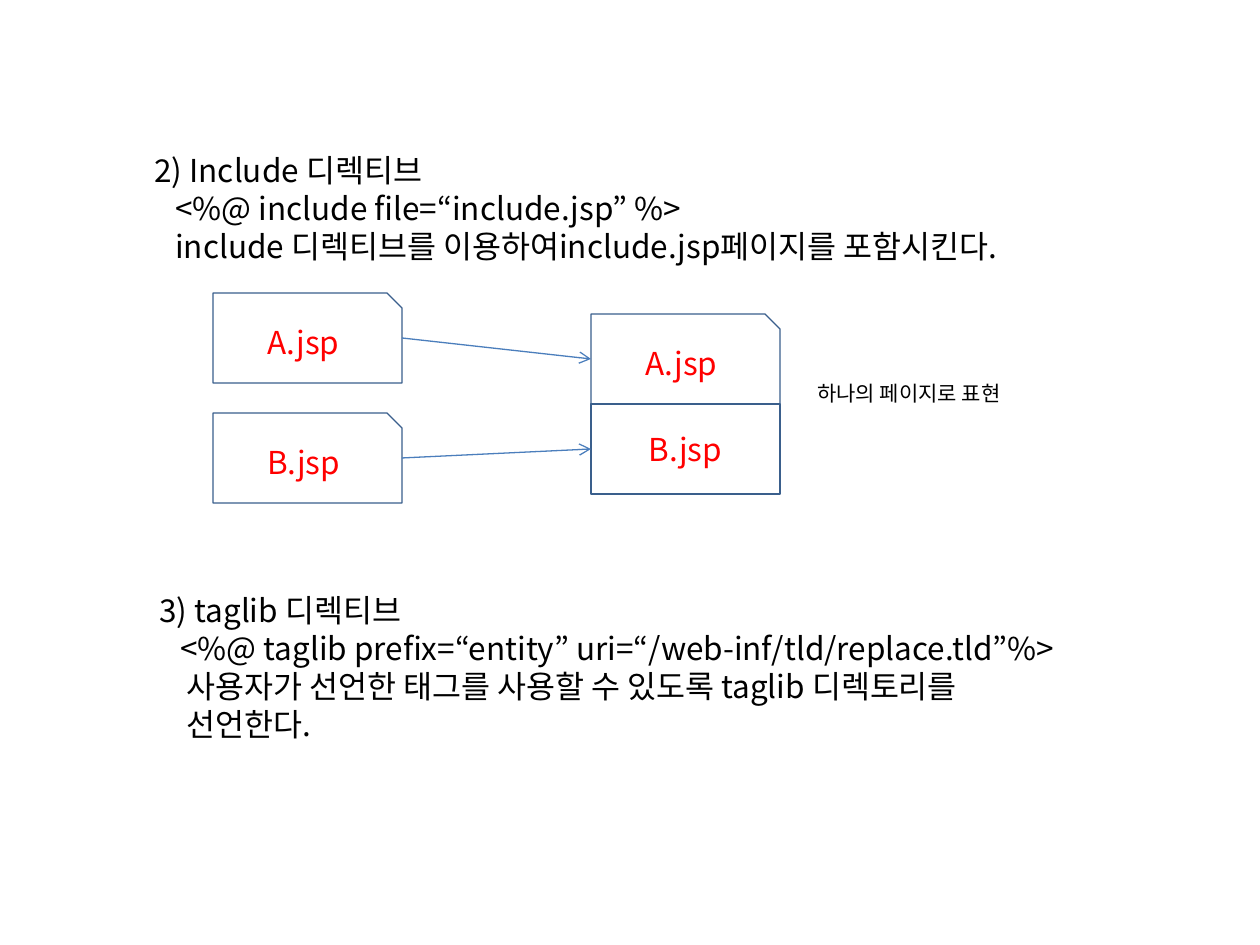
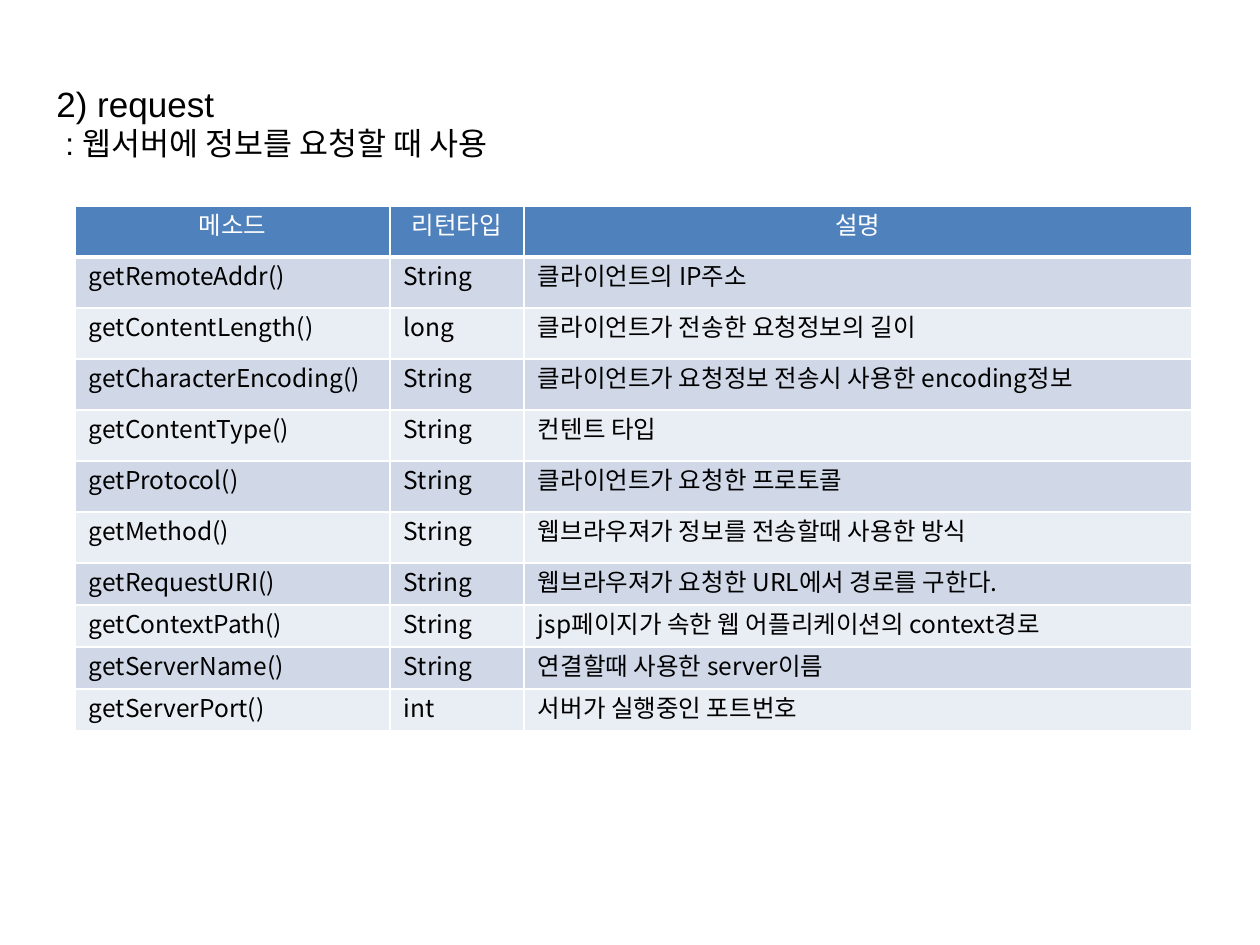
from dataclasses import dataclass
from typing import Any

import pptx
import pptx.dml.color
import pptx.enum.shapes
import pptx.enum.text
import pptx.oxml.ns
import pptx.util
from lxml import etree

# Shared style
EMU_PER_PX = 914400 / 126
KOREAN_FONT = "Noto Sans CJK KR"
LINE_HEIGHT = 1.2
BLACK, WHITE, RED = "000000", "FFFFFF", "FF0000"
OUTLINE, ARROW = "3A5F8C", "4B7EBC"
HEADER_FILL, BAND_FILLS = "4F81BD", ("D0D8E8", "E9EDF4")
CENTER = pptx.enum.text.PP_ALIGN.CENTER
MIDDLE = pptx.enum.text.MSO_ANCHOR.MIDDLE
RECTANGLE = pptx.enum.shapes.MSO_SHAPE.RECTANGLE
SNIPPED = pptx.enum.shapes.MSO_SHAPE.SNIP_1_RECTANGLE
LEFT_SIDE = 1


@dataclass(frozen=True)
class Line:
    text: str
    indent: int = 0
    size: int = 18
    font: str = KOREAN_FONT
    color: str = BLACK
    align: Any = None


@dataclass(frozen=True)
class TextBlock:
    left: int
    top: int
    width: int
    height: int
    lines: tuple[Line, ...]


@dataclass(frozen=True)
class Page:
    name: str
    left: int
    top: int
    kind: Any = SNIPPED


# Slide 1: directives and the pages that are merged
DIRECTIVE_BLOCKS = (
    TextBlock(142, 145, 920, 127, (
        Line("2) Include 디렉티브"),
        Line("<%@ include file=“include.jsp” %>", 21),
        Line("include 디렉티브를 이용하여include.jsp페이지를 포함시킨다.", 21),
    )),
    TextBlock(147, 585, 930, 165, (
        Line("3) taglib 디렉티브"),
        Line("<%@ taglib prefix=“entity” uri=“/web-inf/tld/replace.tld”%>", 21),
        Line("사용자가 선언한 태그를 사용할 수 있도록 taglib 디렉토리를", 27),
        Line("선언한다.", 27),
    )),
    TextBlock(805, 374, 232, 38, (Line("하나의 페이지로 표현", size=12),)),
)
PAGE_WIDTH, PAGE_HEIGHT = 189, 90
MERGED_TOP = 314
SOURCE_PAGES = (Page("A.jsp", 213, 293), Page("B.jsp", 213, 413))
MERGED_PAGES = (
    Page("A.jsp", 591, MERGED_TOP),
    Page("B.jsp", 591, MERGED_TOP + PAGE_HEIGHT, RECTANGLE),
)

# Slide 2: request methods
REQUEST_BLOCK = TextBlock(44, 76, 514, 93, (
    Line("2) request", size=20, font="Arial"),
    Line(": 웹서버에 정보를 요청할 때 사용", 9, font="Arial"),
))
TABLE_LEFT, TABLE_TOP = 75, 206
COLUMN_WIDTHS = (315, 134, 668)
ROW_HEIGHTS = (51,) * 7 + (42,) * 4
METHOD_ROWS = (
    ("메소드", "리턴타입", "설명"),
    ("getRemoteAddr()", "String", "클라이언트의 IP주소"),
    ("getContentLength()", "long", "클라이언트가 전송한 요청정보의 길이"),
    ("getCharacterEncoding()", "String",
     "클라이언트가 요청정보 전송시 사용한 encoding정보"),
    ("getContentType()", "String", "컨텐트 타입"),
    ("getProtocol()", "String", "클라이언트가 요청한 프로토콜"),
    ("getMethod()", "String", "웹브라우져가 정보를 전송할때 사용한 방식"),
    ("getRequestURI()", "String", "웹브라우져가 요청한 URL에서 경로를 구한다."),
    ("getContextPath()", "String", "jsp페이지가 속한 웹 어플리케이션의 context경로"),
    ("getServerName()", "String", "연결할때 사용한 server이름"),
    ("getServerPort()", "int", "서버가 실행중인 포트번호"),
)


# Helpers
def px(length: float) -> int:
    return round(length * EMU_PER_PX)


def rgb(value: str) -> Any:
    return pptx.dml.color.RGBColor.from_string(value)


def set_values(target: Any, values: dict[str, Any]) -> None:
    for name, value in values.items():
        setattr(target, name, value)


def add_element(parent: Any, tag: str, **attributes: str) -> Any:
    return etree.SubElement(parent, pptx.oxml.ns.qn(tag), attributes)


def write_lines(frame: Any, lines: tuple[Line, ...]) -> None:
    for index, line in enumerate(lines):
        paragraph = frame.paragraphs[0] if index == 0 else frame.add_paragraph()
        set_values(paragraph, {
            "alignment": line.align,
            "line_spacing": pptx.util.Pt(round(line.size * LINE_HEIGHT, 1)),
        })
        if line.indent:
            properties = paragraph._p.get_or_add_pPr()
            properties.set("marL", str(px(line.indent)))
            properties.set("indent", "0")
        run = paragraph.add_run()
        run.text = line.text
        set_values(run.font, {"name": line.font, "size": pptx.util.Pt(line.size)})
        run.font.color.rgb = rgb(line.color)
        add_element(run._r.get_or_add_rPr(), "a:ea", typeface=KOREAN_FONT)


def add_text_block(slide: Any, block: TextBlock) -> None:
    shape = slide.shapes.add_textbox(
        px(block.left), px(block.top), px(block.width), px(block.height))
    shape.text_frame.word_wrap = True
    write_lines(shape.text_frame, block.lines)


def add_page(slide: Any, page: Page) -> Any:
    shape = slide.shapes.add_shape(
        page.kind, px(page.left), px(page.top), px(PAGE_WIDTH), px(PAGE_HEIGHT))
    shape.shadow.inherit = False
    shape.fill.background()
    shape.line.color.rgb = rgb(OUTLINE)
    shape.line.width = pptx.util.Pt(0.75)
    set_values(shape.text_frame, {"word_wrap": True, "vertical_anchor": MIDDLE})
    write_lines(shape.text_frame, (Line(page.name, color=RED, align=CENTER),))
    return shape


def add_arrow(slide: Any, source: Page, target: Page, target_shape: Any) -> None:
    connector = slide.shapes.add_connector(
        pptx.enum.shapes.MSO_CONNECTOR.STRAIGHT,
        px(source.left + PAGE_WIDTH), px(source.top + PAGE_HEIGHT / 2),
        px(target.left), px(target.top + PAGE_HEIGHT / 2))
    if target.kind == RECTANGLE:
        connector.end_connect(target_shape, LEFT_SIDE)
    connector.line.color.rgb = rgb(ARROW)
    connector.line.width = pptx.util.Pt(0.75)
    add_element(connector.line._get_or_add_ln(), "a:tailEnd", type="arrow")
    add_element(connector._element.spPr, "a:effectLst")


def set_borders(cell: Any, widths: dict[str, int]) -> None:
    properties = cell._tc.get_or_add_tcPr()
    for position, (side, width) in enumerate(widths.items()):
        border = etree.Element(
            pptx.oxml.ns.qn(f"a:{side}"), w=str(pptx.util.Pt(width)))
        fill = add_element(border, "a:solidFill")
        add_element(fill, "a:srgbClr", val=WHITE)
        properties.insert(position, border)


def add_method_table(slide: Any) -> None:
    table = slide.shapes.add_table(
        len(METHOD_ROWS), len(COLUMN_WIDTHS), px(TABLE_LEFT), px(TABLE_TOP),
        px(sum(COLUMN_WIDTHS)), px(sum(ROW_HEIGHTS))).table
    for column, width in zip(table.columns, COLUMN_WIDTHS):
        column.width = px(width)
    for row_index, (row, height) in enumerate(zip(table.rows, ROW_HEIGHTS)):
        row.height = px(height)
        header = row_index == 0
        fill = HEADER_FILL if header else BAND_FILLS[(row_index - 1) % 2]
        for cell, text in zip(row.cells, METHOD_ROWS[row_index]):
            cell.fill.solid()
            cell.fill.fore_color.rgb = rgb(fill)
            set_values(cell, {
                "margin_left": px(14), "margin_right": px(14),
                "margin_top": px(6), "margin_bottom": px(6),
            })
            set_borders(cell, {
                "lnL": 1, "lnR": 1,
                "lnT": 3 if row_index == 1 else 1, "lnB": 3 if header else 1,
            })
            write_lines(cell.text_frame, (Line(
                text, size=14, color=WHITE if header else BLACK,
                align=CENTER if header else None),))


# Slides
def build_directives(slide: Any) -> None:
    for block in DIRECTIVE_BLOCKS:
        add_text_block(slide, block)
    for source, target in zip(SOURCE_PAGES, MERGED_PAGES):
        add_page(slide, source)
        add_arrow(slide, source, target, add_page(slide, target))


def build_request(slide: Any) -> None:
    add_text_block(slide, REQUEST_BLOCK)
    add_method_table(slide)


def main() -> None:
    presentation = pptx.Presentation()
    set_values(presentation, {"slide_width": px(1260), "slide_height": px(945)})
    blank_layout = presentation.slide_layouts[6]
    for build in (build_directives, build_request):
        build(presentation.slides.add_slide(blank_layout))
    presentation.save("out.pptx")


if __name__ == "__main__":
    main()
